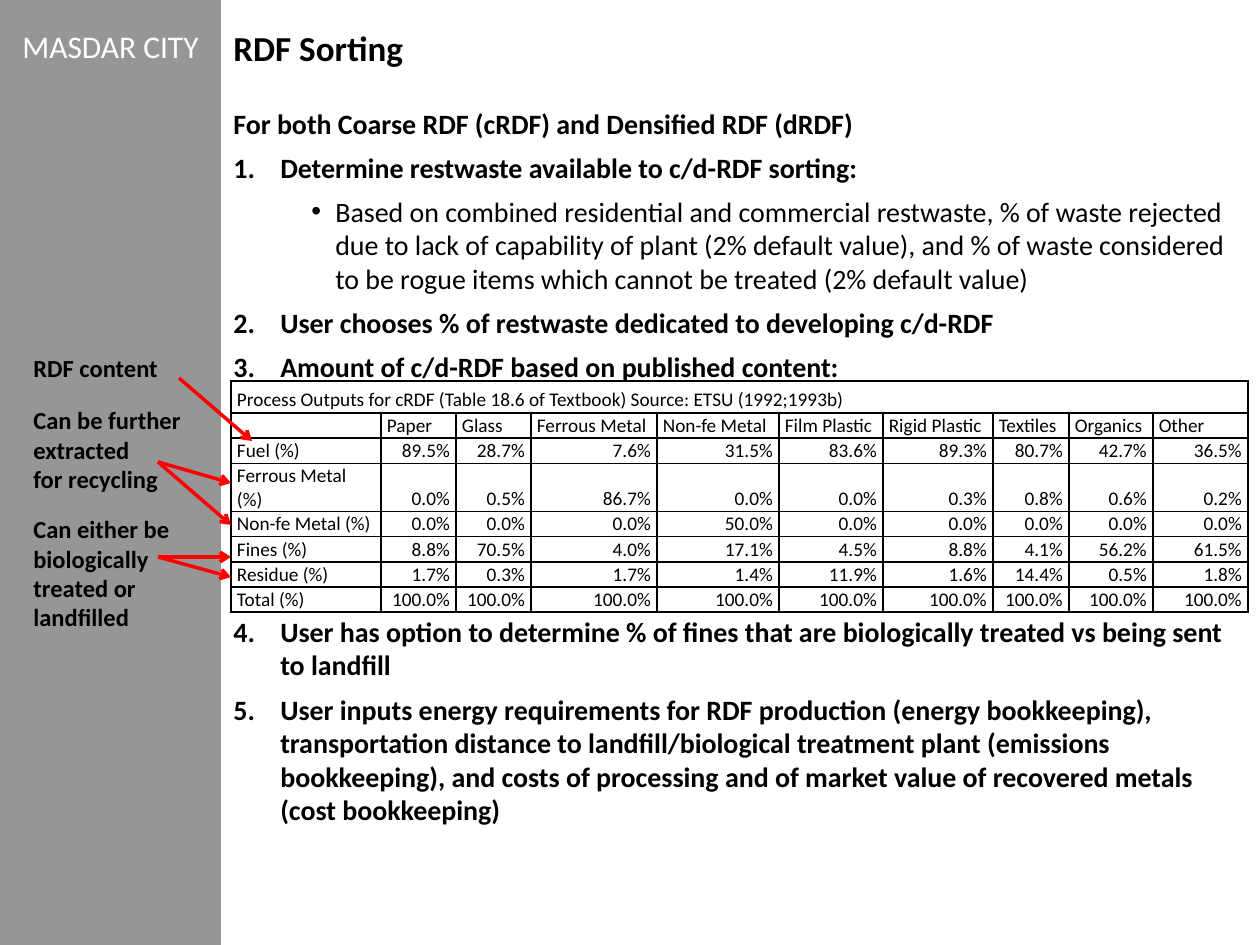
import pptx
import pptx.dml.color
import pptx.enum.shapes
import pptx.enum.text
import pptx.oxml.ns
import pptx.util
from lxml import etree

ANCHOR = pptx.enum.text.MSO_ANCHOR
ALIGN = pptx.enum.text.PP_ALIGN


def px(n):
    return pptx.util.Emu(round(n * 914400 / 126))


def rgb(value):
    return pptx.dml.color.RGBColor.from_string(value)


def add_xml(parent, tag, **attrs):
    return etree.SubElement(parent, pptx.oxml.ns.qn(tag), attrs)


class SlideBuilder:
    """Draws styled elements on one slide."""

    font = "Calibri"
    ink = "000000"
    accent = "FF0000"

    def __init__(self, slide):
        self.s = slide

    def run(self, p, text, size, color=ink, bold=False):
        r = p.add_run()
        r.text = text
        r.font.name = self.font
        r.font.size = pptx.util.Pt(size)
        r.font.bold = bold
        r.font.color.rgb = rgb(color)

    def band(self, x, y, w, h, color):
        sp = self.s.shapes.add_shape(
            pptx.enum.shapes.MSO_SHAPE.RECTANGLE, px(x), px(y), px(w), px(h))
        sp.shadow.inherit = False
        sp.fill.solid()
        sp.fill.fore_color.rgb = rgb(color)
        sp.line.fill.background()

    def text(self, x, y, w, h, paragraphs, size, bold=True,
             anchor=ANCHOR.TOP, wrap=True):
        tf = self.s.shapes.add_textbox(px(x), px(y), px(w), px(h)).text_frame
        tf.word_wrap = wrap
        tf.vertical_anchor = anchor
        for i, text in enumerate(paragraphs):
            p = tf.add_paragraph() if i else tf.paragraphs[0]
            if text:
                self.run(p, text, size, bold=bold)
        return tf

    def outline(self, x, y, w, h, items, size):
        tf = self.text(x, y, w, h, [""] * len(items), size)
        for i, (p, item) in enumerate(zip(tf.paragraphs, items)):
            text, level, start, before = item
            bullet = start == "•"
            p.level = level
            if i:
                p.space_before = pptx.util.Pt(before)
            p.space_after = pptx.util.Pt(3)
            pPr = p._p.get_or_add_pPr()
            pPr.set("marL", str(px(102 if bullet else 47)))
            pPr.set("indent", str(px(-24 if bullet else -47)))
            if bullet:
                add_xml(pPr, "a:buFont", typeface="Arial")
                add_xml(pPr, "a:buChar", char=start)
            elif start:
                add_xml(pPr, "a:buFont", typeface="+mj-lt")
                add_xml(pPr, "a:buAutoNum", type="arabicPeriod", startAt=str(start))
            else:
                add_xml(pPr, "a:buNone")
            self.run(p, text, size, bold=not bullet)

    def cell(self, cell, text, size, align):
        cell.margin_left = cell.margin_right = px(6)
        cell.margin_top = cell.margin_bottom = px(1)
        cell.vertical_anchor = ANCHOR.BOTTOM
        p = cell.text_frame.paragraphs[0]
        p.alignment = align
        if text:
            self.run(p, text, size)
        else:
            add_xml(p._p, "a:endParaRPr", sz=str(size * 100))
        tcPr = cell._tc.get_or_add_tcPr()
        for side in "LRTB":
            ln = add_xml(tcPr, "a:ln" + side, w=str(pptx.util.Pt(1)))
            add_xml(add_xml(ln, "a:solidFill"), "a:srgbClr", val=self.ink)
        cell.fill.background()

    def table(self, x, y, widths, heights, rows, size):
        table = self.s.shapes.add_table(
            len(rows), len(widths), px(x), px(y),
            px(sum(widths)), px(sum(heights))).table
        table.first_row = table.horz_banding = False
        for col, w in zip(table.columns, widths):
            col.width = px(w)
        for row, h in zip(table.rows, heights):
            row.height = px(h)
        for i, row in enumerate(rows):
            for j, text in enumerate(row):
                align = ALIGN.RIGHT if i > 1 and j else ALIGN.LEFT
                self.cell(table.cell(i, j), text, size, align)
        table.cell(0, 0).merge(table.cell(0, len(widths) - 1))

    def arrow(self, x1, y1, x2, y2):
        line = self.s.shapes.add_connector(
            pptx.enum.shapes.MSO_CONNECTOR.STRAIGHT, px(x1), px(y1), px(x2), px(y2))
        line.line.color.rgb = rgb(self.accent)
        line.line.width = pptx.util.Pt(2)
        add_xml(line.line._get_or_add_ln(), "a:tailEnd", type="arrow")
        add_xml(line._element.spPr, "a:effectLst")


OUTLINE = [
    ("For both Coarse RDF (cRDF) and Densified RDF (dRDF)", 0, None, 0),
    ("Determine restwaste available to c/d-RDF sorting:", 0, 1, 3),
    ("Based on combined residential and commercial restwaste, % of waste "
     "rejected due to lack of capability of plant (2% default value), and % of "
     "waste considered to be rogue items which cannot be treated "
     "(2% default value)", 1, "•", 3),
    ("User chooses % of restwaste dedicated to developing c/d-RDF", 1, 2, 3),
    ("Amount of c/d-RDF based on published content:", 1, 2, 3),
    ("User has option to determine % of fines that are biologically treated "
     "vs being sent to landfill", 0, 4, 129),
    ("User inputs energy requirements for RDF production (energy bookkeeping), "
     "transportation distance to landfill/biological treatment plant (emissions "
     "bookkeeping), and costs of processing and of market value of recovered "
     "metals (cost bookkeeping)", 0, 4, 3),
]
MATERIALS = ["Paper", "Glass", "Ferrous Metal", "Non-fe Metal", "Film Plastic",
             "Rigid Plastic", "Textiles", "Organics", "Other"]
OUTPUTS = {
    "Fuel": [89.5, 28.7, 7.6, 31.5, 83.6, 89.3, 80.7, 42.7, 36.5],
    "Ferrous Metal": [0, 0.5, 86.7, 0, 0, 0.3, 0.8, 0.6, 0.2],
    "Non-fe Metal": [0, 0, 0, 50, 0, 0, 0, 0, 0],
    "Fines": [8.8, 70.5, 4, 17.1, 4.5, 8.8, 4.1, 56.2, 61.5],
    "Residue": [1.7, 0.3, 1.7, 1.4, 11.9, 1.6, 14.4, 0.5, 1.8],
    "Total": [100] * 9,
}
CAPTION = ("Process Outputs for cRDF (Table 18.6 of Textbook) "
           "Source: ETSU (1992;1993b)")
COLUMN_WIDTHS = [150, 75, 75, 126, 122, 104, 110, 76, 84, 95]
ROW_HEIGHTS = [32, 23] + [20] * 6
ARROWS = [(179, 378, 252, 441), (158, 462, 231, 483), (158, 557, 231, 557),
          (158, 462, 231, 525), (158, 557, 231, 577)]


def main():
    prs = pptx.Presentation()
    prs.slide_width, prs.slide_height = px(1260), px(945)
    b = SlideBuilder(prs.slides.add_slide(prs.slide_layouts[6]))

    b.band(0, 0, 221, 945, "969696")
    p = b.text(10, 10, 431, 63, [""], 18).paragraphs[0]
    b.run(p, "MASDAR CITY", 18, "FFFFFF")
    b.run(p, " ", 24, "EAEAEA")
    b.text(221, 0, 976, 94, ["RDF Sorting"], 20, anchor=ANCHOR.MIDDLE)
    b.outline(221, 100, 1018, 740, OUTLINE, 16)

    rows = [[CAPTION] + [""] * 9, [""] + MATERIALS]
    rows += [[f"{name} (%)"] + [f"{v:.1f}%" for v in values]
             for name, values in OUTPUTS.items()]
    b.table(231, 381, COLUMN_WIDTHS, ROW_HEIGHTS, rows, 11)

    b.text(21, 347, 151, 43, ["RDF content"], 14, wrap=False)
    b.text(21, 399, 199, 102, ["Can be further extracted", "for recycling"], 14)
    b.text(21, 508, 199, 131,
           ["Can either be biologically treated or landfilled"], 14)
    for ends in ARROWS:
        b.arrow(*ends)
    prs.save("out.pptx")


if __name__ == "__main__":
    main()
